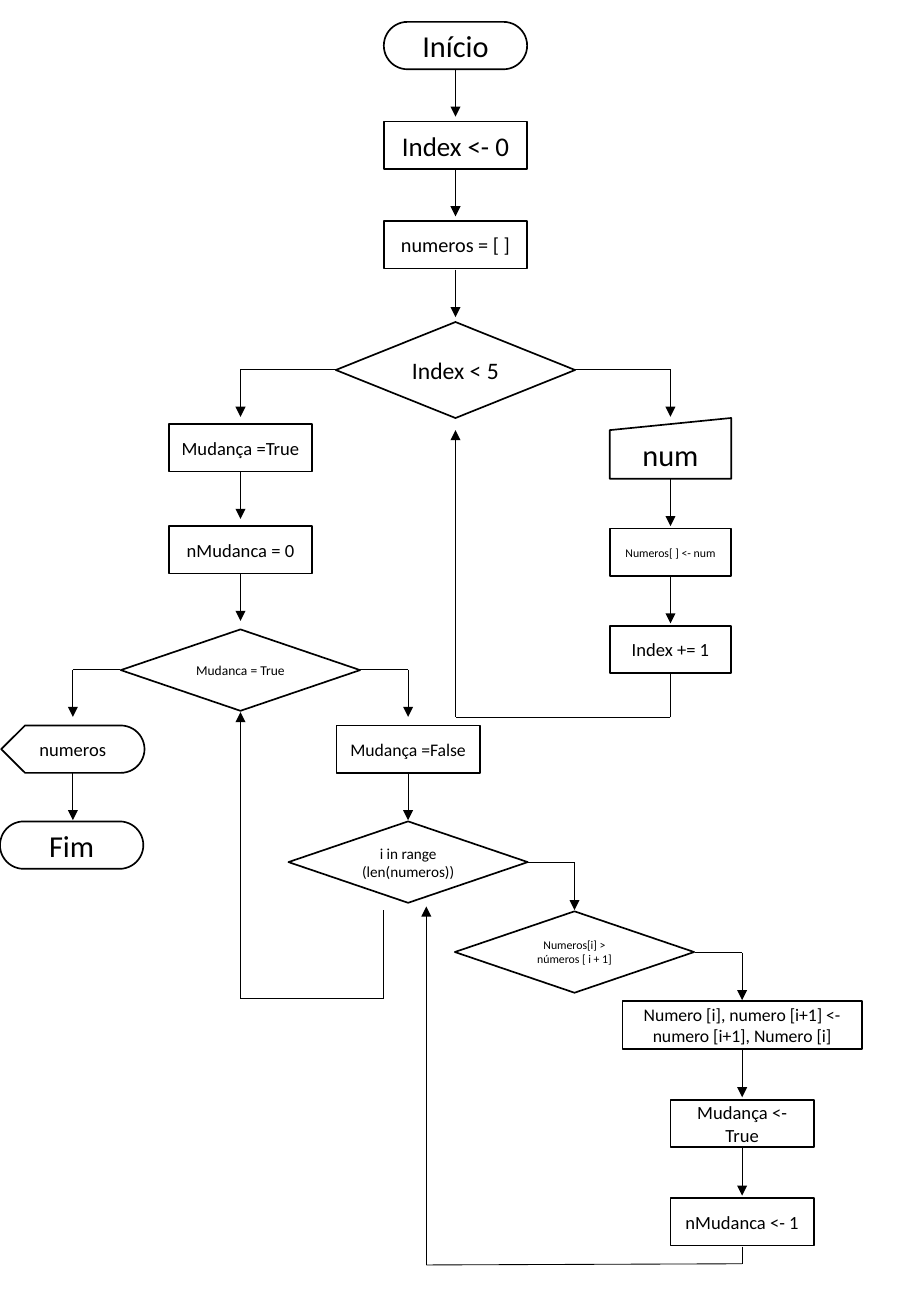
from itertools import pairwise

from lxml import etree
from pptx import Presentation, util as u
from pptx.dml.color import RGBColor
from pptx.enum import shapes, text
from pptx.oxml.ns import qn

PX = 9144
SLIDE_W, SLIDE_H = 750, 1083
BLACK = "000000"
FONT = "Calibri"
STEP = 39

KINDS = {
    "terminal": shapes.MSO_SHAPE.ROUNDED_RECTANGLE,
    "box": shapes.MSO_SHAPE.RECTANGLE,
    "diamond": shapes.MSO_SHAPE.DIAMOND,
    "input": shapes.MSO_SHAPE.FLOWCHART_MANUAL_INPUT,
    "process": shapes.MSO_SHAPE.FLOWCHART_PROCESS,
    "decision": shapes.MSO_SHAPE.FLOWCHART_DECISION,
    "display": shapes.MSO_SHAPE.FLOWCHART_DISPLAY,
}

# kind, text, font size, centre x, top, width, height
NODES = [
    ("terminal", "Início", 18, 375, 18, 118, 39),
    ("box", "Index <- 0", 16, 375, 100, 118, 39),
    ("box", "numeros = [ ]", 12, 375, 182, 118, 39),
    ("diamond", "Index < 5", 14, 375, 265, 197, 79),
    ("input", "num", 18, 552, 344, 100, 50),
    ("process", "Numeros[ ] <- num", 7, 552, 435, 100, 39),
    ("process", "Index += 1", 11, 552, 515, 100, 39),
    ("process", "Mudança =True", 11, 198, 349, 118, 39),
    ("process", "nMudanca = 0", 11, 198, 433, 118, 39),
    ("decision", "Mudanca = True", 8, 198, 518, 197, 67),
    ("process", "Mudança =False", 10.5, 336, 597, 118, 39),
    ("decision", "i in range (len(numeros))", 9, 336, 676, 197, 67),
    ("decision", "Numeros[i] > números [ i + 1]", 7, 473, 750, 197, 67),
    ("process", "Numero [i], numero [i+1] <- numero [i+1], Numero [i]", 10.5, 611, 824, 197, 39),
    ("process", "Mudança <-True", 11, 611, 905, 118, 39),
    ("process", "nMudanca <- 1", 11, 611, 986, 118, 39),
    ("display", "numeros", 11, 60, 597, 118, 39),
    ("terminal", "Fim", 18, 59, 676, 118, 39),
]

DOWN_STARTS = {
    375: [57, 139, 222],
    552: [394, 474],
    198: [388, 472],
    336: [636],
    611: [864, 945],
    60: [636],
}

BRANCHES = [
    (473, 304, 552),
    (277, 304, 198),
    (296, 551, 336),
    (99, 551, 60),
    (434, 710, 473),
    (572, 784, 611),
]

LOOPS = [
    [(552, 555), (552, 590), (375, 590), (375, 354)],
    [(316, 749), (316, 822), (198, 822), (198, 586)],
    [(611, 1026), (611, 1040), (351, 1041), (351, 746)],
]


def px(n):
    return u.Emu(round(n * PX))


def color(value):
    return RGBColor.from_string(value)


def add_node(s, kind, label, size, cx, top, w, h):
    sp = s.shapes.add_shape(KINDS[kind], px(cx - w / 2), px(top), px(w), px(h))
    if kind == "terminal":
        sp.adjustments[0] = 0.5
    sp.shadow.inherit = False
    sp.fill.background()
    sp.line.color.rgb = color(BLACK)
    sp.line.width = u.Pt(1)
    tf = sp.text_frame
    tf.word_wrap = True
    tf.vertical_anchor = text.MSO_ANCHOR.MIDDLE
    tf.text = label
    p = tf.paragraphs[0]
    p.alignment = text.PP_ALIGN.CENTER
    r = p.runs[0]
    r.font.size = u.Pt(size)
    r.font.name = FONT
    r.font.color.rgb = color(BLACK)


def add_line(s, start, end, arrow):
    c = s.shapes.add_connector(shapes.MSO_CONNECTOR.STRAIGHT, *map(px, start + end))
    c.line.color.rgb = color(BLACK)
    c.line.width = u.Pt(0.5)
    if arrow:
        etree.SubElement(c.line._get_or_add_ln(), qn("a:tailEnd"), type="triangle")
    etree.SubElement(c._element.spPr, qn("a:effectLst"))


def add_path(s, points):
    for start, end in pairwise(points):
        add_line(s, start, end, end == points[-1])


def main():
    prs = Presentation()
    prs.slide_width, prs.slide_height = px(SLIDE_W), px(SLIDE_H)
    s = prs.slides.add_slide(prs.slide_layouts[6])
    for node in NODES:
        add_node(s, *node)
    paths = [[(x, y), (x, y + STEP)] for x, tops in DOWN_STARTS.items() for y in tops]
    paths += [[(x, y), (to, y), (to, y + STEP)] for x, y, to in BRANCHES]
    for points in paths + LOOPS:
        add_path(s, points)
    prs.save("out.pptx")


if __name__ == "__main__":
    main()
